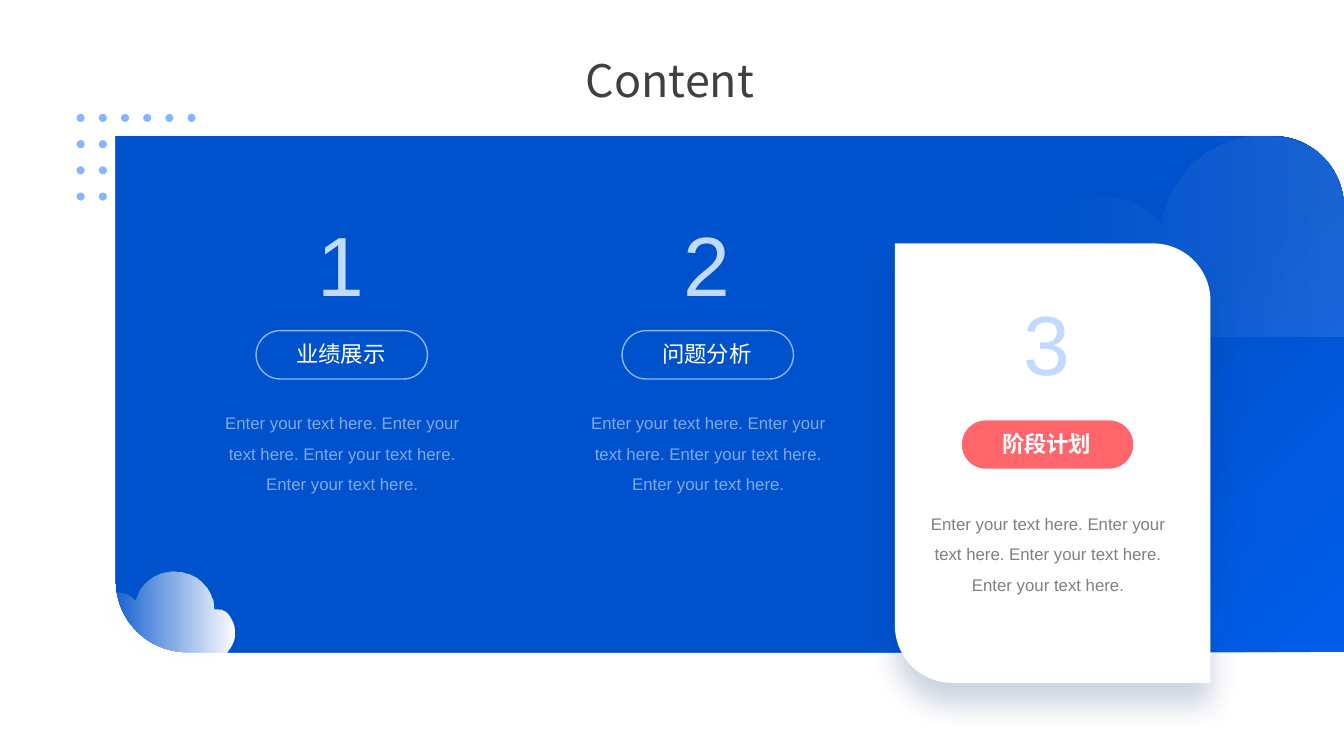
from lxml import etree
from pptx import Presentation
from pptx.dml.color import RGBColor
from pptx.enum.shapes import MSO_SHAPE
from pptx.enum.text import MSO_ANCHOR, MSO_AUTO_SIZE, PP_ALIGN
from pptx.oxml import parse_xml
from pptx.oxml.ns import nsdecls, qn
from pptx.util import Inches, Pt

WHITE = RGBColor(0xFF, 0xFF, 0xFF)
BLUE = RGBColor(0x00, 0x52, 0xCC)
BRIGHT_BLUE = RGBColor(0x00, 0x5E, 0xEB)
SKY = RGBColor(0x85, 0xB6, 0xFF)
PALE = RGBColor(0xC2, 0xDA, 0xFF)
CORAL = RGBColor(0xFF, 0x66, 0x6C)
DARK = RGBColor(0x40, 0x40, 0x40)
GRAY = RGBColor(0x80, 0x80, 0x80)
BODY = " ".join(["Enter your text here."] * 4)


def set_gradient(sp, stops, direction):
    """Fill a shape with (position, colour, opacity) stops, all in percent."""
    sp.shadow.inherit = False
    sp.line.fill.background()
    sp.fill.background()
    gs = "".join(f'<a:gs pos="{pos * 1000}"><a:srgbClr val="{color}">'
                 f'<a:alpha val="{alpha * 1000}"/></a:srgbClr></a:gs>'
                 for pos, color, alpha in stops)
    spPr = sp._element.spPr
    spPr.replace(spPr.find(qn("a:noFill")), parse_xml(
        f'<a:gradFill {nsdecls("a")} rotWithShape="1"><a:gsLst>{gs}</a:gsLst>'
        f'{direction}</a:gradFill>'))


def add_text(x, y, w, h, text, size, color, wrap=False):
    tf = s.shapes.add_textbox(Inches(x), Inches(y), Inches(w), Inches(h)).text_frame
    tf.word_wrap = wrap
    tf.auto_size = MSO_AUTO_SIZE.SHAPE_TO_FIT_TEXT
    p = tf.paragraphs[0]
    p.text = text
    r = p.runs[0]
    r.font.size, r.font.name = Pt(size), "Arial"
    r.font.color.rgb = color
    return p


prs = Presentation()
prs.slide_width, prs.slide_height = Inches(13.33), Inches(7.5)
s = prs.slides.add_slide(prs.slide_layouts[5])

# Title
title = s.shapes.title
title.left, title.top, title.width, title.height = map(Inches, (5.69, 0.47, 1.91, 0.64))
tf = title.text_frame
tf.text = "Content"
tf.word_wrap = False
tf.auto_size = MSO_AUTO_SIZE.SHAPE_TO_FIT_TEXT
tf.vertical_anchor = MSO_ANCHOR.TOP
p = tf.paragraphs[0]
p.alignment = PP_ALIGN.CENTER
font = p.runs[0].font
font.size, font.name, font.color.rgb = Pt(32), "Noto Sans CJK TC", DARK

# Dot grid, partly behind the panel
dots = s.shapes.add_group_shape()
for col in range(6):
    for row in range(4):
        sp = dots.shapes.add_shape(MSO_SHAPE.OVAL, Inches(0.76 + 0.22 * col),
                                   Inches(1.13 + 0.26 * row), Inches(0.08), Inches(0.08))
        sp.shadow.inherit = False
        sp.fill.solid()
        sp.fill.fore_color.rgb = SKY
        sp.line.fill.background()

# Blue panel, rounded at top right and bottom left
panel = s.shapes.add_shape(MSO_SHAPE.ROUND_2_DIAG_RECTANGLE, Inches(1.15), Inches(1.35),
                           Inches(12.18), Inches(5.12))
panel.adjustments[0], panel.adjustments[1] = 0.138, 0
panel._element.spPr.find(qn("a:xfrm")).set("flipH", "1")
set_gradient(panel, [(71, BLUE, 100), (100, BRIGHT_BLUE, 100)],
             '<a:path path="circle"><a:fillToRect r="100000" b="100000"/></a:path>')

# Clouds: start point, then curves (three points) or straight lines (one point)
sky_cloud = [(13.55, 2.33), [(13.52, 2.33), (13.52, 2.33), (13.52, 2.33)],
             [(13.52, 1.78), (13.08, 1.34), (12.52, 1.34)],
             [(12.01, 1.34), (11.59, 1.73), (11.52, 2.22)],
             [(11.39, 2.06), (11.19, 1.95), (10.97, 1.95)],
             [(10.59, 1.95), (10.28, 2.26), (10.28, 2.66)],
             [(10.28, 3.04), (10.59, 3.34), (10.97, 3.34)],
             [(13.55, 3.34), (13.55, 3.34), (13.55, 3.34)],
             [(13.84, 3.34), (14.06, 3.12), (14.06, 2.84)],
             [(14.06, 2.57), (13.84, 2.33), (13.55, 2.33)]]
corner_cloud = [(1.73, 5.67), [(1.94, 5.67), (2.12, 5.83), (2.12, 6.04)],
                [(2.16, 6.04)],
                [(2.27, 6.04), (2.33, 6.19), (2.33, 6.28)],
                [(2.33, 6.36), (2.25, 6.52), (2.15, 6.52)],
                [(2.13, 6.53), (2.14, 6.54), (2.12, 6.57)],
                [(1.7, 6.53)],
                [(1.34, 6.53), (1.06, 6.26), (1.02, 5.92)],
                [(1.02, 5.9)], [(1.04, 5.89)],
                [(1.07, 5.88), (1.11, 5.87), (1.14, 5.87)],
                [(1.22, 5.87), (1.29, 5.9), (1.35, 5.96)],
                [(1.39, 5.79), (1.55, 5.67), (1.73, 5.67)]]
UNITS = 1000  # outline units per inch
for (start, *segments), opacity in ((sky_cloud, 13), (corner_cloud, 100)):
    ends = [seg[-1] for seg in segments]
    left, top = min(x for x, y in ends), min(y for x, y in ends)
    fb = s.shapes.build_freeform(start[0] * UNITS, start[1] * UNITS, scale=Inches(1) / UNITS)
    fb.add_line_segments([(x * UNITS, y * UNITS) for x, y in ends], close=True)
    cloud = fb.convert_to_shape()
    for line, seg in zip(list(cloud._element.iter(qn("a:lnTo"))), segments):
        if len(seg) == 3:
            line.getparent().replace(line, parse_xml(
                f'<a:cubicBezTo {nsdecls("a")}>' + "".join(
                    f'<a:pt x="{round((x - left) * UNITS)}" y="{round((y - top) * UNITS)}"/>'
                    for x, y in seg) + '</a:cubicBezTo>'))
    set_gradient(cloud, [(0, WHITE, 0), (100, WHITE, opacity)],
                 '<a:lin ang="0" scaled="0"/>')

# White card with a soft shadow below
card = s.shapes.add_shape(MSO_SHAPE.ROUND_2_DIAG_RECTANGLE, Inches(8.26), Inches(3.03),
                          Inches(4.36), Inches(3.13))
card.rotation = 90
card.adjustments[0], card.adjustments[1] = 0.182, 0
card.fill.solid()
card.fill.fore_color.rgb = WHITE
card.line.fill.background()
card.shadow.inherit = False
shadow = etree.SubElement(card._element.spPr.find(qn("a:effectLst")), qn("a:outerShdw"),
                          blurRad=str(Pt(20)), dist=str(Pt(15)), dir="5400000",
                          algn="t", rotWithShape="0")
color = etree.SubElement(shadow, qn("a:srgbClr"), val="002966")
etree.SubElement(color, qn("a:alpha"), val="20000")

# Three items: number, pill with label, body text
items = [("1", "业绩展示", 2.54, 3.28, False),
         ("2", "问题分析", 6.17, 3.28, False),
         ("3", "阶段计划", 9.54, 4.17, True)]
for number, label, x, y, on_card in items:
    gap = 0.11 if on_card else 0
    add_text(x + 0.51, y - 1.22 - gap, 0.67, 1.11, number, 60, PALE)

    pill = s.shapes.add_shape(MSO_SHAPE.ROUNDED_RECTANGLE, Inches(x), Inches(y),
                              Inches(1.7), Inches(0.48))
    pill.adjustments[0] = 0.5
    pill.shadow.inherit = False
    if on_card:
        pill.fill.solid()
        pill.fill.fore_color.rgb = CORAL
        pill.line.fill.background()
    else:
        pill.fill.background()
        pill.line.color.rgb = SKY
        pill.line.width = Pt(1)
    p = add_text(x + 0.3, y + 0.05, 1.1, 0.37, label, 16, WHITE)
    p.runs[0].font.bold = on_card

    p = add_text(x - 0.44, y + 0.67 + gap, 2.59, 0.97, BODY, 12,
                 GRAY if on_card else WHITE, wrap=True)
    p.alignment = PP_ALIGN.CENTER
    p.line_spacing = 1.5
    if not on_card:
        rgb = p.runs[0]._r.find(".//" + qn("a:srgbClr"))
        etree.SubElement(rgb, qn("a:alpha"), val="50000")

prs.save("out.pptx")
